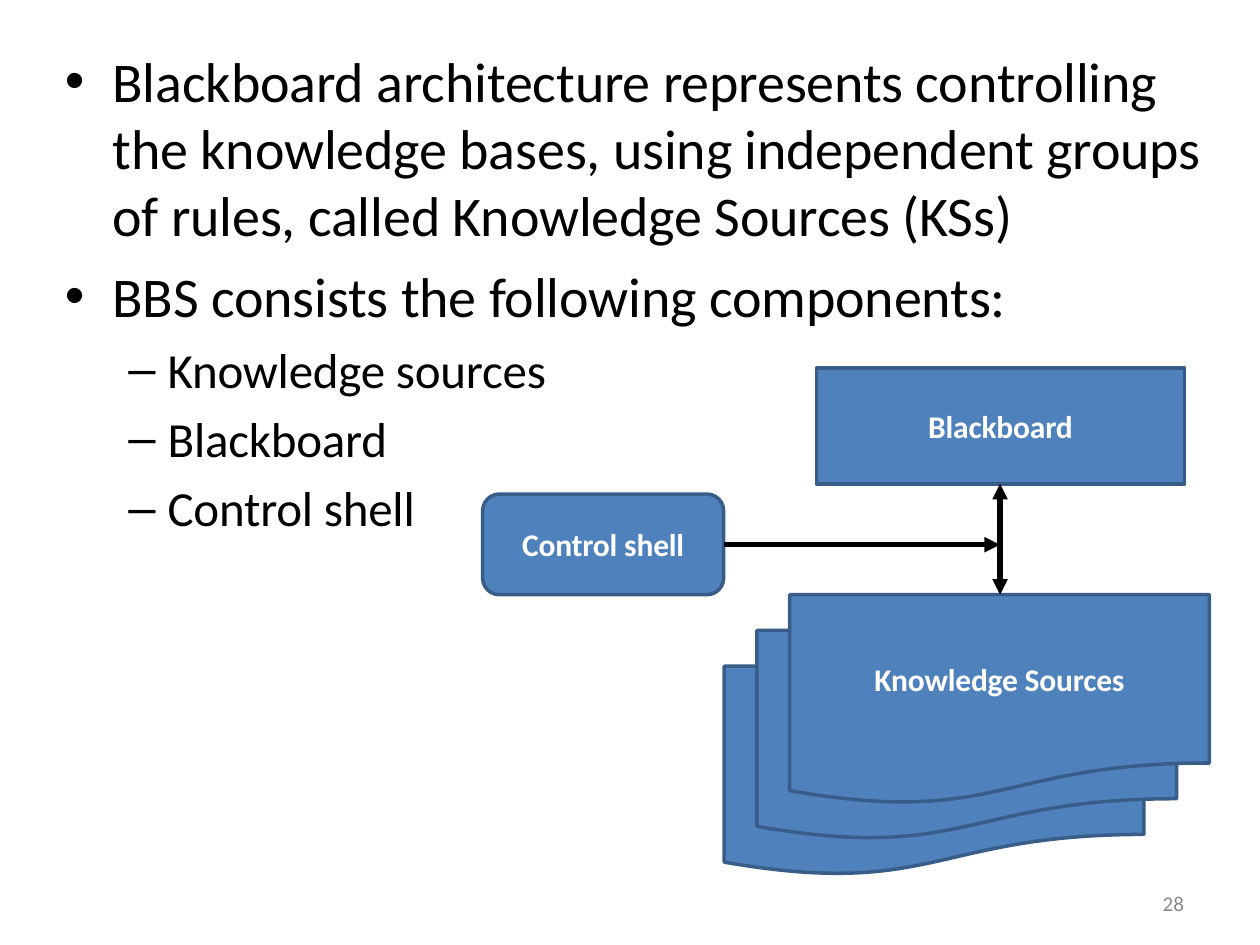
from dataclasses import dataclass

from lxml.etree import SubElement
from pptx import Presentation
from pptx.dml.color import RGBColor
from pptx.enum.shapes import MSO_CONNECTOR as Connector
from pptx.enum.shapes import MSO_SHAPE as Shape
from pptx.enum.text import MSO_ANCHOR as Anchor
from pptx.enum.text import PP_ALIGN as Align
from pptx.oxml.ns import qn
from pptx.util import Cm, Pt


@dataclass(frozen=True)
class Theme:
    font: str = "Calibri"
    bullet_font: str = "Arial"
    black: RGBColor = RGBColor(0x00, 0x00, 0x00)
    white: RGBColor = RGBColor(0xFF, 0xFF, 0xFF)
    grey: RGBColor = RGBColor(0x88, 0x88, 0x88)
    fill: RGBColor = RGBColor(0x4F, 0x81, 0xBC)
    outline: RGBColor = RGBColor(0x38, 0x5D, 0x89)
    body: Pt = Pt(32)
    sub: Pt = Pt(28)
    label: Pt = Pt(18)
    number: Pt = Pt(12)
    outline_width: Pt = Pt(2)
    arrow_width: Pt = Pt(3)


theme = Theme()


def write(para, text, size, color, bold=False, tracking=0):
    """Set the paragraph's text; tracking is in hundredths of a point."""
    para.text = text
    for span in para.runs:
        span.font.name = theme.font
        span.font.size = size
        span.font.bold = bold
        span.font.color.rgb = color
        span.font._element.set("spc", str(tracking))


def clear_margins(frame):
    frame.margin_left = frame.margin_right = 0
    frame.margin_top = frame.margin_bottom = 0
    frame.word_wrap = True


deck = Presentation()
deck.slide_width, deck.slide_height = Cm(25.4), Cm(19.05)
page = deck.slides.add_slide(deck.slide_layouts[6])

# Bullet list: text, bullet, size, left margin, hanging indent, space before
main = ("•", theme.body, Cm(1), Cm(0.96))
sub = ("–", theme.sub, Cm(2.11), Cm(0.79))
bullets = [
    ("Blackboard architecture represents controlling the knowledge bases, "
     "using independent groups of rules, called Knowledge Sources (KSs)", main, 0),
    ("BBS consists the following components:", main, 7.8),
    ("Knowledge sources", sub, 6),
    ("Blackboard", sub, 6),
    ("Control shell", sub, 6),
]
box = page.shapes.add_textbox(Cm(1.27), Cm(0.93), Cm(23.16), Cm(10))
frame = box.text_frame
clear_margins(frame)
for index, (text, (mark, size, margin, hanging), before) in enumerate(bullets):
    para = frame.add_paragraph() if index else frame.paragraphs[0]
    props = para._p.get_or_add_pPr()
    props.set("marL", str(margin))
    props.set("indent", str(-hanging))
    SubElement(props, qn("a:buFont")).set("typeface", theme.bullet_font)
    SubElement(props, qn("a:buChar")).set("char", mark)
    para.space_before = Pt(before)
    write(para, text, size, theme.black, tracking=-10)

# Diagram blocks; the knowledge sources are a stack of three sheets
sheets = 3
blocks = [
    (Shape.RECTANGLE, 16.46, 7.42, 7.42, 2.34, "Blackboard"),
    (Shape.ROUNDED_RECTANGLE, 9.73, 9.96, 4.86, 2.03, "Control shell"),
]
for sheet in range(sheets):
    label = "Knowledge Sources" if sheet == sheets - 1 else ""
    blocks.append((Shape.FLOWCHART_DOCUMENT, 14.6 + 0.66 * sheet,
                   13.43 - 0.72 * sheet, 8.46, 4.23, label))

for kind, left, top, width, height, label in blocks:
    block = page.shapes.add_shape(kind, Cm(left), Cm(top), Cm(width), Cm(height))
    block.shadow.inherit = False
    block.fill.solid()
    block.fill.fore_color.rgb = theme.fill
    block.line.color.rgb = theme.outline
    block.line.width = theme.outline_width
    if label:
        frame = block.text_frame
        clear_margins(frame)
        frame.vertical_anchor = Anchor.MIDDLE
        para = frame.paragraphs[0]
        para.alignment = Align.CENTER
        write(para, label, theme.label, theme.white, bold=True, tracking=-10)

# Arrows: start, end, and the ends that carry a head
arrows = [
    ((20.16, 9.75), (20.16, 11.99), ("headEnd", "tailEnd")),
    ((14.6, 10.98), (20.16, 10.98), ("tailEnd",)),
]
for start, end, heads in arrows:
    arrow = page.shapes.add_connector(
        Connector.STRAIGHT, *(Cm(value) for value in start + end))
    arrow.line.color.rgb = theme.black
    arrow.line.width = theme.arrow_width
    line = arrow.line._get_or_add_ln()
    for head in heads:
        SubElement(line, qn(f"a:{head}")).set("type", "triangle")
    SubElement(arrow._element.spPr, qn("a:effectLst"))

number = page.shapes.add_textbox(Cm(23.44), Cm(17.95), Cm(0.6), Cm(0.5))
clear_margins(number.text_frame)
write(number.text_frame.paragraphs[0], "28", theme.number, theme.grey)

deck.save("out.pptx")
